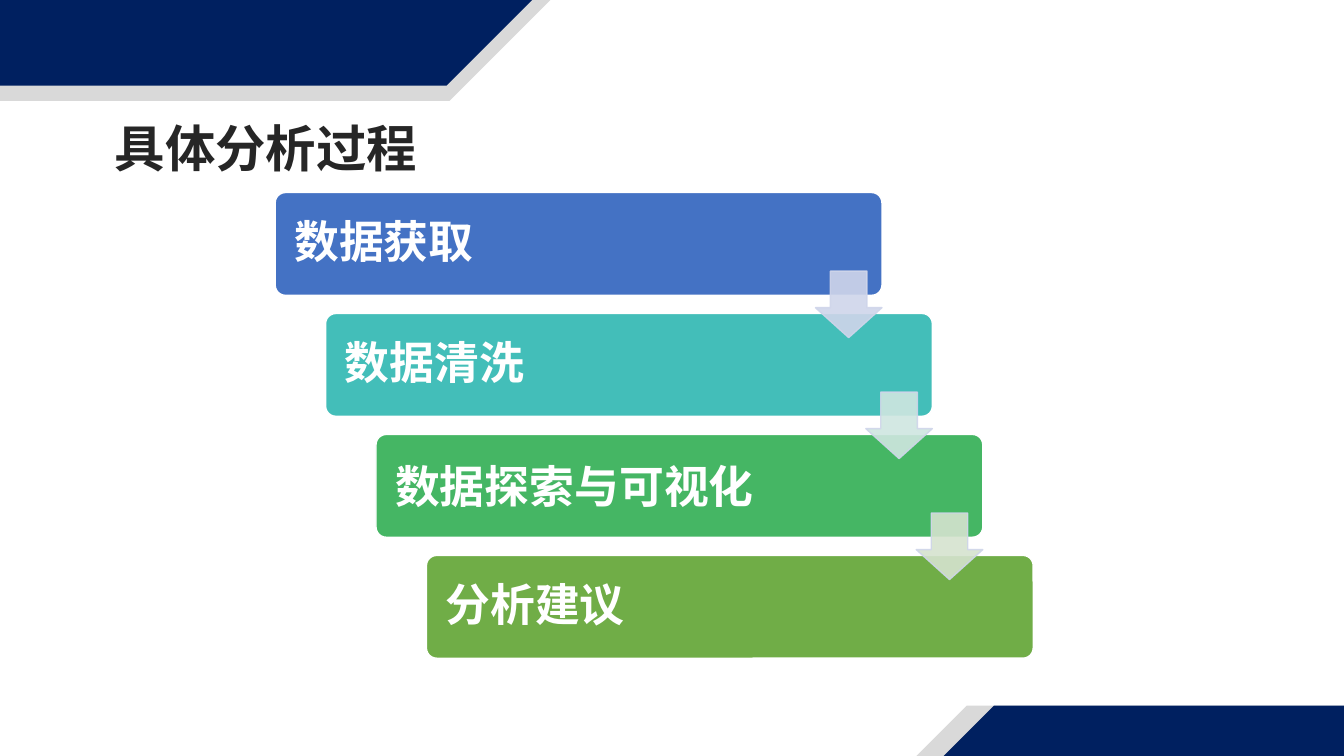
from dataclasses import dataclass

from lxml.etree import SubElement
from pptx import Presentation
from pptx.dml.color import RGBColor
from pptx.enum.shapes import MSO_SHAPE
from pptx.enum.text import MSO_ANCHOR, PP_ALIGN
from pptx.oxml.ns import qn
from pptx.shapes.autoshape import Shape
from pptx.slide import Slide
from pptx.text.text import TextFrame
from pptx.util import Inches, Pt

SLIDE_WIDTH, SLIDE_HEIGHT = Inches(13.33), Inches(7.5)
COLUMN, ROW = SLIDE_WIDTH / 40, SLIDE_HEIGHT / 30
FONT = "Noto Sans CJK SC"
COLORS = {
    "navy": "002060",
    "grey": "D9D9D9",
    "title": "262626",
    "white": "FFFFFF",
    "blue": "4472C4",
    "teal": "43BEB9",
    "green": "45B664",
    "olive": "70AD47",
    "pale_blue": "CFD5EA",
    "pale_teal": "CFE6E0",
    "pale_green": "D5E3CF",
}


@dataclass(frozen=True)
class Area:
    column: float
    row: float
    columns: float
    rows: float

    def shifted(self, columns: float, rows: float) -> "Area":
        return Area(self.column + columns, self.row + rows, self.columns, self.rows)

    def box(self) -> tuple[int, int, int, int]:
        return (round(self.column * COLUMN), round(self.row * ROW),
                round(self.columns * COLUMN), round(self.rows * ROW))


@dataclass(frozen=True)
class Band:
    column: float
    row: float
    color: str


@dataclass(frozen=True)
class Step:
    label: str
    color: str
    line_spacing: float = 0.9


BANDS = [
    Band(-5.79, -0.08, "grey"),
    Band(-5.88, -0.68, "navy"),
    Band(25.71, 28, "grey"),
    Band(26.52, 28, "navy"),
]
STEPS = [
    Step("数据获取", "blue"),
    Step("数据清洗", "teal"),
    Step("数据探索与可视化", "green", 1.0),
    Step("分析建议", "olive"),
]
ARROW_COLORS = ["pale_blue", "pale_teal", "pale_green"]
TITLE_AREA = Area(3.12, 4.44, 17.79, 2.8)
FIRST_STEP = Area(8.19, 7.64, 18.06, 4.08)
FIRST_ARROW = Area(24.27, 10.76, 1.98, 2.64)
STEP_COLUMNS, STEP_ROWS = 1.5, 4.8


def rgb(color: str) -> RGBColor:
    return RGBColor.from_string(COLORS[color])


def draw_shape(slide: Slide, preset: MSO_SHAPE, area: Area, adjustments: list[float],
               fill: str, outline: str | None = None) -> Shape:
    shape = slide.shapes.add_shape(preset, *area.box())
    shape.shadow.inherit = False
    for index, value in enumerate(adjustments):
        shape.adjustments[index] = value
    shape.fill.solid()
    shape.fill.fore_color.rgb = rgb(fill)
    if outline:
        shape.line.color.rgb = rgb(outline)
        shape.line.width = Pt(1)
    else:
        shape.line.fill.background()
    return shape


def write(frame: TextFrame, text: str, size: int, color: str, line_spacing: float = 1.0) -> None:
    frame.word_wrap = True
    paragraph = frame.paragraphs[0]
    paragraph.alignment = PP_ALIGN.LEFT
    paragraph.line_spacing = line_spacing
    run = paragraph.add_run()
    run.text = text
    run.font.size = Pt(size)
    run.font.bold = True
    run.font.color.rgb = rgb(color)
    run.font.name = FONT
    SubElement(run.font._element, qn("a:ea"), typeface=FONT)


def draw_band(slide: Slide, band: Band) -> None:
    area = Area(band.column, band.row, 22.23, 4.08)
    draw_shape(slide, MSO_SHAPE.PARALLELOGRAM, area, [1.0], band.color)


def draw_title(slide: Slide, text: str) -> None:
    title = slide.shapes.add_textbox(*TITLE_AREA.box())
    write(title.text_frame, text, 36, "title")


def draw_step(slide: Slide, step: Step, index: int) -> None:
    area = FIRST_STEP.shifted(index * STEP_COLUMNS, index * STEP_ROWS)
    bar = draw_shape(slide, MSO_SHAPE.ROUNDED_RECTANGLE, area, [0.1], step.color, "white")
    frame = bar.text_frame
    frame.vertical_anchor = MSO_ANCHOR.MIDDLE
    frame.margin_left = round(0.48 * COLUMN)
    write(frame, step.label, 32, "white", step.line_spacing)


def draw_arrow(slide: Slide, color: str, index: int) -> None:
    area = FIRST_ARROW.shifted(index * STEP_COLUMNS, index * STEP_ROWS)
    arrow = draw_shape(slide, MSO_SHAPE.DOWN_ARROW, area, [0.55, 0.45], color, "pale_blue")
    for tint in arrow._element.spPr.iter(qn("a:srgbClr")):
        SubElement(tint, qn("a:alpha"), val="90000")


def main() -> None:
    presentation = Presentation()
    presentation.slide_width = SLIDE_WIDTH
    presentation.slide_height = SLIDE_HEIGHT
    slide = presentation.slides.add_slide(presentation.slide_layouts[6])
    for band in BANDS:
        draw_band(slide, band)
    draw_title(slide, "具体分析过程")
    for index, step in enumerate(STEPS):
        draw_step(slide, step, index)
    for index, color in enumerate(ARROW_COLORS):
        draw_arrow(slide, color, index)
    presentation.save("out.pptx")


if __name__ == "__main__":
    main()
